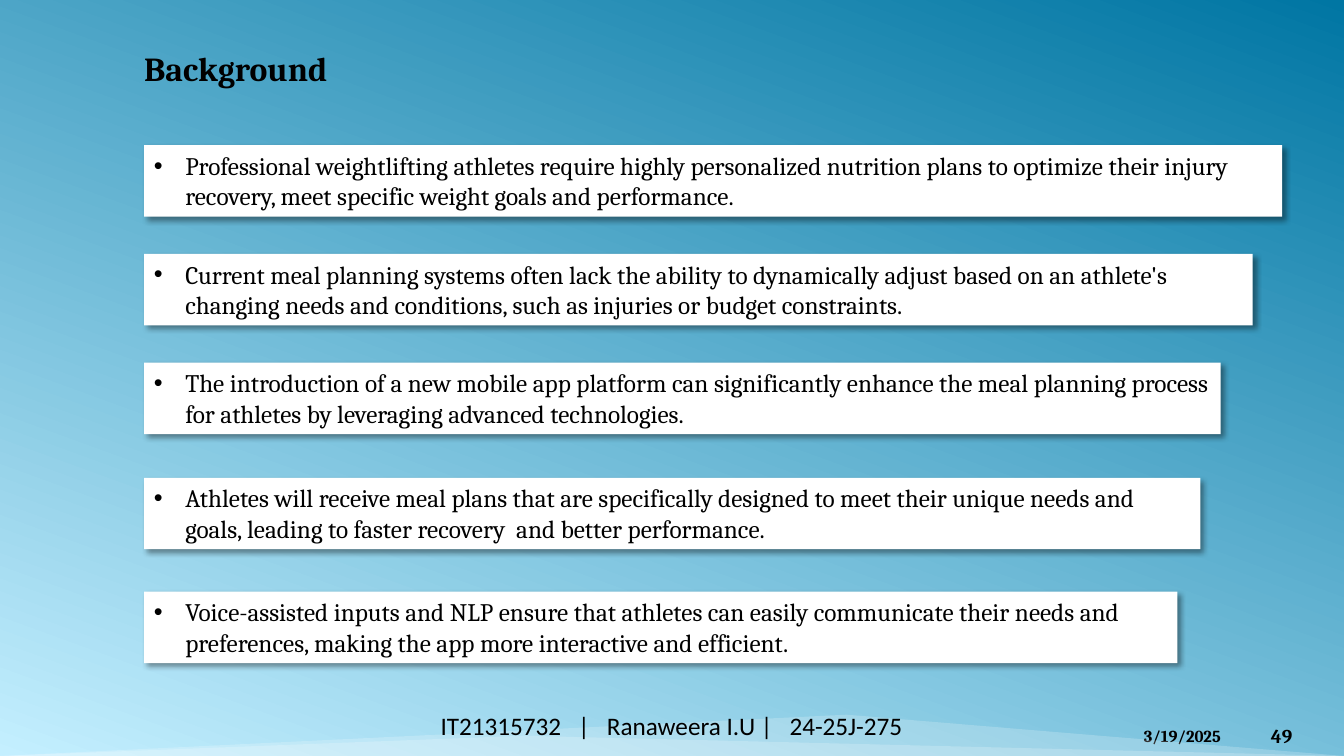
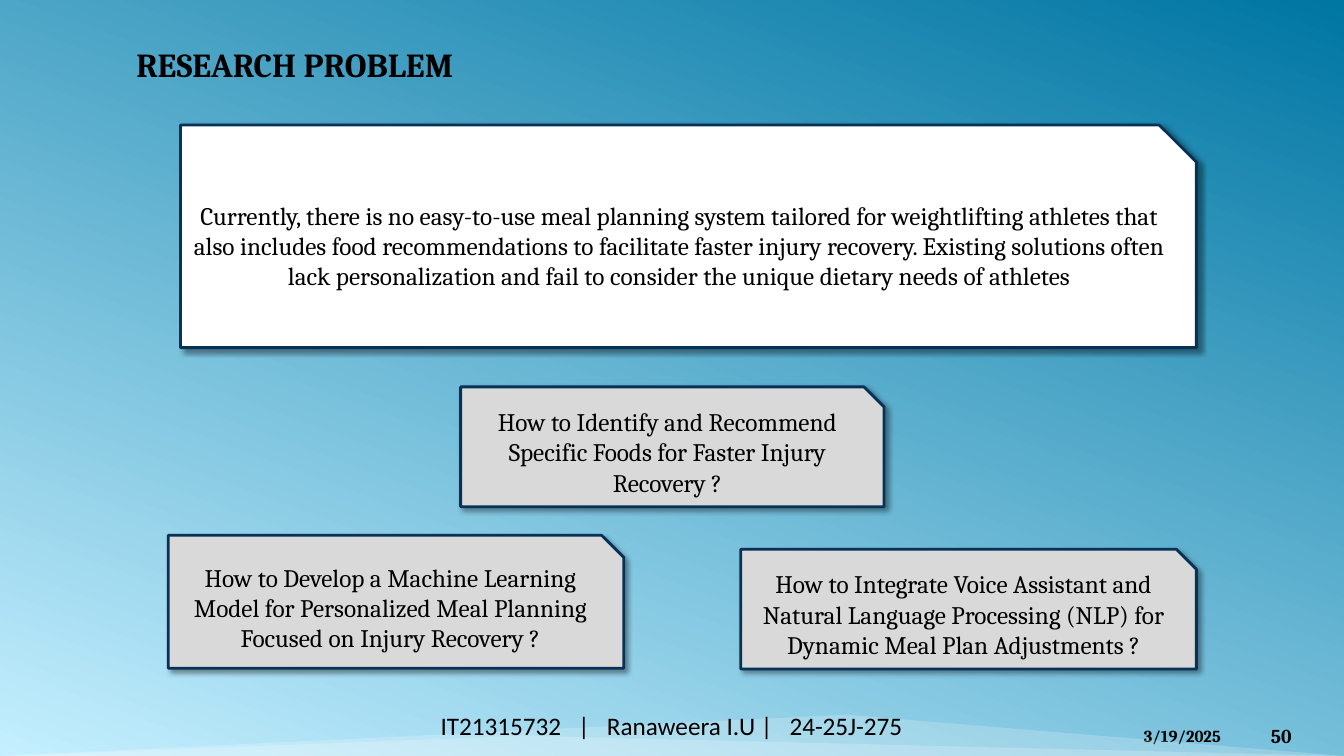
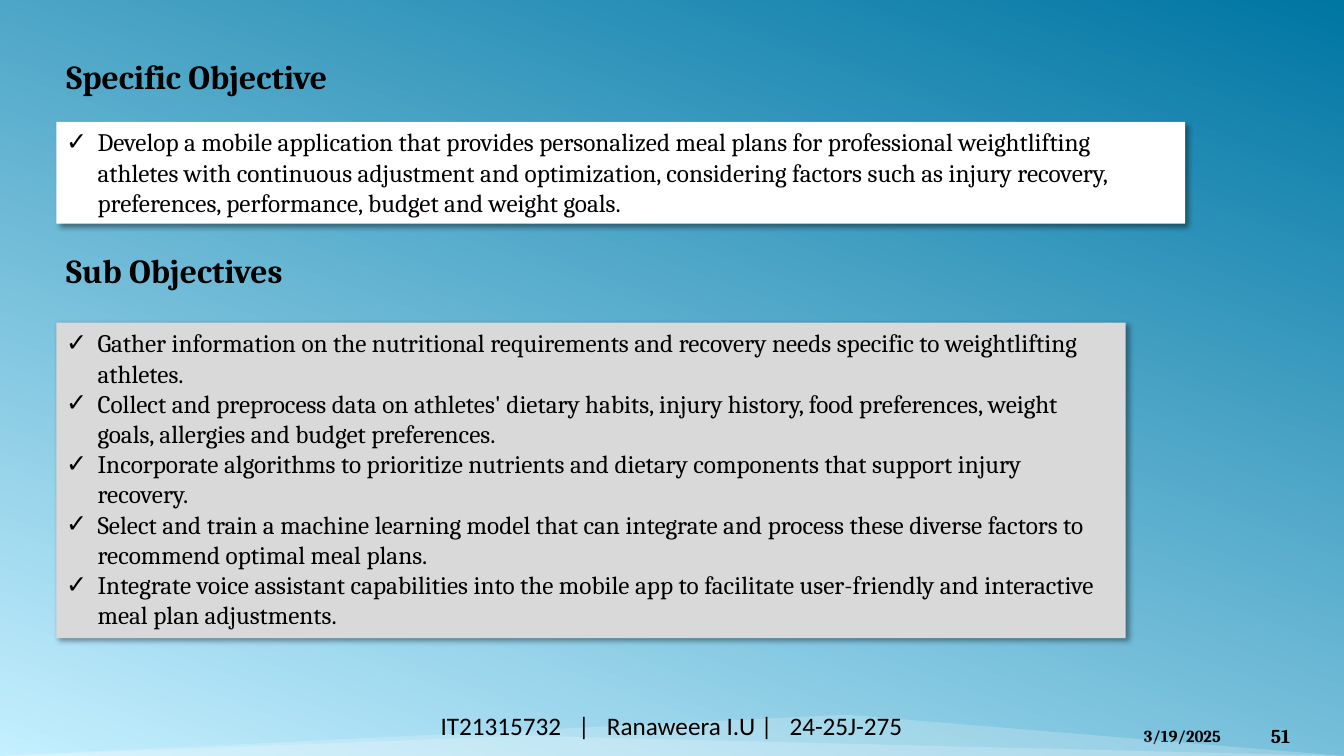
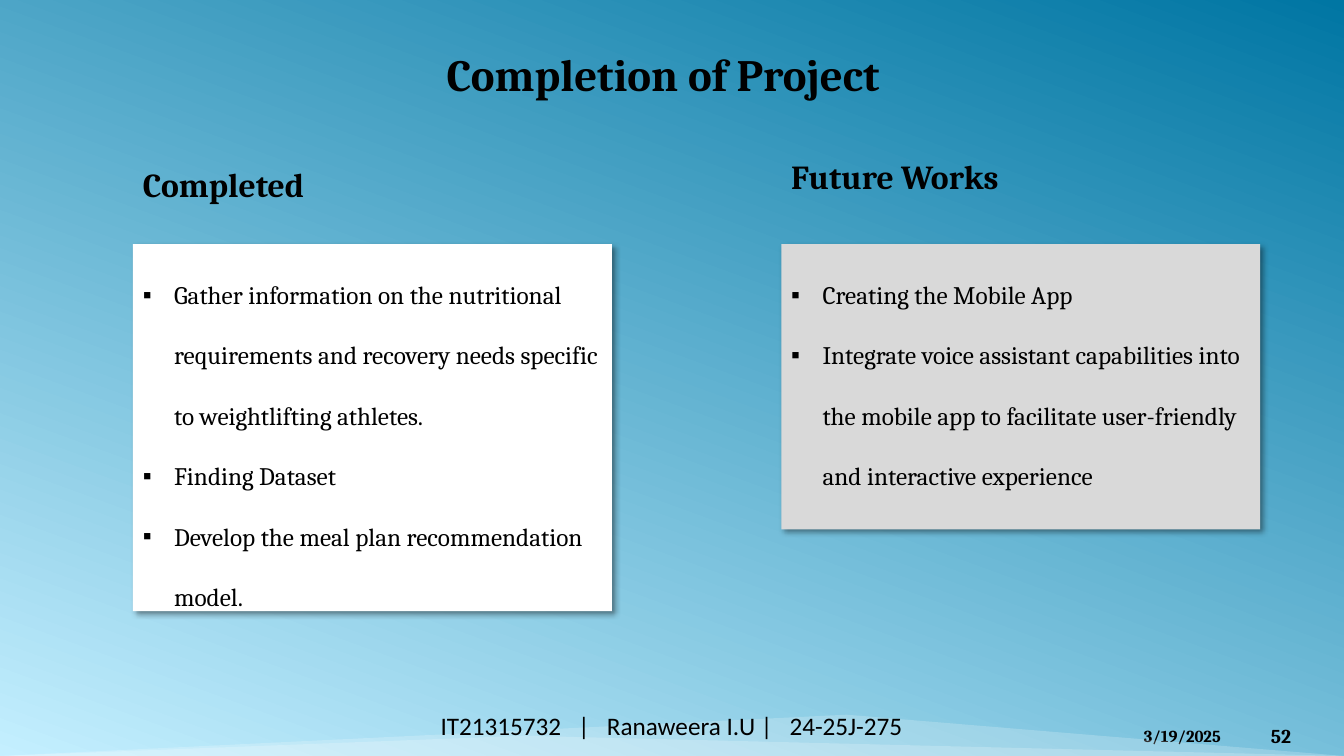
from dataclasses import dataclass

from lxml.etree import SubElement
from pptx import Presentation
from pptx.dml.color import RGBColor
from pptx.enum.shapes import MSO_SHAPE
from pptx.enum.text import MSO_ANCHOR, MSO_AUTO_SIZE, PP_ALIGN
from pptx.oxml.ns import qn
from pptx.util import Cm, Pt


@dataclass(frozen=True)
class Theme:
    black: RGBColor = RGBColor.from_string("000000")
    white: RGBColor = RGBColor.from_string("FFFFFF")
    gray: RGBColor = RGBColor.from_string("D9D9D9")
    navy: RGBColor = RGBColor.from_string("073157")
    deep_blue: RGBColor = RGBColor.from_string("0076A3")
    pale_blue: RGBColor = RGBColor.from_string("C4EFFF")
    font: str = "Cambria"
    footer_font: str = "Calibri"
    title_size: int = 32
    heading_size: int = 24
    body_size: int = 18
    number_size: int = 14
    date_size: int = 12


class SlideBuilder:
    """Holds the deck, its theme and the slide being built."""

    first_number = 49
    date = "3/19/2025"
    footer = "IT21315732   |   Ranaweera I.U |   24-25J-275"
    # left, top, width, height and apex position
    bands = ((0, 18.01, 33.87, 1.04, 0.63), (0, 18.54, 33.87, 0.51, 0.39))

    def __init__(self, theme):
        self.theme = theme
        self.deck = Presentation()
        self.deck.slide_width, self.deck.slide_height = Cm(33.87), Cm(19.05)
        self.page = None
        fill = self.deck.slide_master.background.fill
        fill.gradient()
        fill.gradient_angle = 250
        for stop, color in zip(fill.gradient_stops, (theme.deep_blue, theme.pale_blue)):
            stop.color.rgb = color

    def new_page(self, title, left, top, width, height=1.27, size=None):
        self.page = self.deck.slides.add_slide(self.deck.slide_layouts[5])
        number = self.first_number + len(self.deck.slides) - 1
        theme = self.theme
        self.text(self.date, 28.58, 18.16, 2.97, 0.76, size=theme.date_size, bold=True)
        for band in self.bands:
            self.band(*band)
        self.text(str(number), 31.78, 18.03, 1.88, 1.02, size=theme.number_size,
                  bold=True, anchor=MSO_ANCHOR.MIDDLE)
        self.text(self.footer, 8.46, 17.78, 16.94, 1.02, size=theme.body_size,
                  font=theme.footer_font, align=PP_ALIGN.CENTER)
        box = self.page.shapes.title
        box.left, box.top, box.width, box.height = map(Cm, (left, top, width, height))
        self.set_text(box, [title], size=size or theme.heading_size, bold=True)

    def set_text(self, box, lines, size, bold=False, font=None, align=PP_ALIGN.LEFT,
                 anchor=MSO_ANCHOR.TOP, bullet=None, spacing=None):
        frame = box.text_frame
        frame.word_wrap = True
        frame.auto_size = (MSO_AUTO_SIZE.SHAPE_TO_FIT_TEXT if anchor == MSO_ANCHOR.TOP
                           else MSO_AUTO_SIZE.NONE)
        frame.vertical_anchor = anchor
        frame.text = "\n".join(lines)
        for para in frame.paragraphs:
            para.alignment = align
            if bullet:
                self.add_bullet(para, bullet)
            if spacing:
                para.line_spacing = spacing
            for span in para.runs:
                span.font.name = font or self.theme.font
                span.font.size = Pt(size)
                span.font.bold = bold
                span.font.color.rgb = self.theme.black

    def add_bullet(self, para, symbol):
        properties = para._p.get_or_add_pPr()
        indent = Cm(0.79)
        properties.set("marL", str(indent))
        properties.set("indent", str(-indent))
        SubElement(properties, qn("a:buFont"), typeface="Arial")
        SubElement(properties, qn("a:buChar"), char=symbol)

    def text(self, content, left, top, width, height, **style):
        box = self.page.shapes.add_textbox(*map(Cm, (left, top, width, height)))
        self.set_text(box, [content], **style)

    def heading(self, content, left, top, width):
        self.text(content, left, top, width, 1.27, size=self.theme.heading_size, bold=True)

    def shape(self, kind, left, top, width, height, color):
        shape = self.page.shapes.add_shape(kind, *map(Cm, (left, top, width, height)))
        shape.shadow.inherit = False
        shape.fill.solid()
        shape.fill.fore_color.rgb = color
        shape.line.fill.background()
        return shape

    def band(self, left, top, width, height, apex):
        """Add a flat translucent triangle along the foot of the slide."""
        band = self.shape(MSO_SHAPE.ISOSCELES_TRIANGLE, left, top, width, height,
                          self.theme.white)
        band.adjustments[0] = apex
        color = band.element.spPr.find(qn("a:solidFill"))[0]
        SubElement(color, qn("a:alpha"), val="20000")

    def cast_shadow(self, shape):
        effects = shape.element.spPr.find(qn("a:effectLst"))
        shadow = SubElement(effects, qn("a:outerShdw"), blurRad=str(Pt(4)),
                            dist=str(Pt(3)), dir="2700000", algn="tl", rotWithShape="0")
        color = SubElement(shadow, qn("a:srgbClr"), val=str(self.theme.black))
        SubElement(color, qn("a:alpha"), val="40000")

    def panel(self, lines, left, top, width, height, color, bullet, spacing=None):
        """Add a shadowed rectangle that holds a bulleted list."""
        panel = self.shape(MSO_SHAPE.RECTANGLE, left, top, width, height, color)
        self.cast_shadow(panel)
        self.set_text(panel, lines, size=self.theme.body_size, bullet=bullet, spacing=spacing)

    def card(self, content, left, top, width, height, color):
        """Add an outlined card with one corner cut and centred text."""
        card = self.shape(MSO_SHAPE.SNIP_1_RECTANGLE, left, top, width, height, color)
        card.line.color.rgb = self.theme.navy
        card.line.width = Pt(2)
        self.cast_shadow(card)
        self.set_text(card, [content], size=self.theme.body_size, align=PP_ALIGN.CENTER,
                      anchor=MSO_ANCHOR.MIDDLE)


def add_background(builder):
    builder.new_page("Background", 3.38, 1.07, 8)
    points = (
        (3.66, 28.68, "Professional weightlifting athletes require highly personalized nutrition "
         "plans to optimize their injury recovery, meet specific weight goals and performance."),
        (6.4, 27.94, "Current meal planning systems often lack the ability to dynamically adjust "
         "based on an athlete's changing needs and conditions, such as injuries or budget "
         "constraints."),
        (9.14, 27.13, "The introduction of a new mobile app platform can significantly enhance "
         "the meal planning process for athletes by leveraging advanced technologies."),
        (12.04, 26.62, "Athletes will receive meal plans that are specifically designed to meet "
         "their unique needs and goals, leading to faster recovery  and better performance."),
        (14.91, 26.04, "Voice-assisted inputs and NLP ensure that athletes can easily communicate "
         "their needs and preferences, making the app more interactive and efficient."),
    )
    for top, width, point in points:
        builder.panel([point], 3.63, top, width, 1.8, builder.theme.white, "•")


def add_research_problem(builder):
    builder.new_page("RESEARCH PROBLEM", 3.18, 0.99, 16.94)
    questions = (
        (4.24, 13.49, 11.48, 3.35, "How to Develop a Machine Learning Model for Personalized "
         "Meal Planning Focused on Injury Recovery ?"),
        (18.67, 13.84, 11.48, 3.02, "How to Integrate Voice Assistant and Natural Language "
         "Processing (NLP) for Dynamic Meal Plan Adjustments ?"),
        (11.61, 9.75, 10.67, 3.02, "How to Identify and Recommend Specific Foods for Faster "
         "Injury Recovery ?"),
    )
    for *place, question in questions:
        builder.card(question, *place, builder.theme.gray)
    builder.card(
        "Currently, there is no easy-to-use meal planning system tailored for weightlifting "
        "athletes that also includes food recommendations to facilitate faster injury recovery. "
        "Existing solutions often lack personalization and fail to consider the unique dietary "
        "needs of athletes", 4.55, 3.15, 25.6, 5.61, builder.theme.white)


def add_objectives(builder):
    left = 1.42
    builder.new_page("Specific Objective", left, 1.27, 11.68)
    builder.panel(
        ["Develop a mobile application that provides personalized meal plans for professional "
         "weightlifting athletes with continuous adjustment and optimization, considering factors "
         "such as injury recovery, preferences, performance, budget and weight goals."],
        left, 3.07, 28.45, 2.57, builder.theme.white, "✓")
    builder.heading("Sub Objectives", left, 6.17, 16.94)
    builder.panel(
        ["Gather information on the nutritional requirements and recovery needs specific to "
         "weightlifting athletes.",
         "Collect and preprocess data on athletes' dietary habits, injury history, food "
         "preferences, weight goals, allergies and budget preferences.",
         "Incorporate algorithms to prioritize nutrients and dietary components that support "
         "injury recovery.",
         "Select and train a machine learning model that can integrate and process these diverse "
         "factors to recommend optimal meal plans.",
         "Integrate voice assistant capabilities into the mobile app to facilitate user-friendly "
         "and interactive meal plan adjustments."],
        left, 8.13, 26.95, 7.95, builder.theme.gray, "✓")


def add_completion(builder):
    theme = builder.theme
    builder.new_page("Completion of Project", 11, 1.04, 13.13, 1.63, theme.title_size)
    columns = (
        ("Completed", 3.35, 4.01, 9.25, theme.white,
         ["Gather information on the nutritional requirements and recovery needs specific to "
          "weightlifting athletes.",
          "Finding Dataset",
          "Develop the meal plan recommendation model."]),
        ("Future Works", 19.69, 3.81, 7.19, theme.gray,
         ["Creating the Mobile App",
          "Integrate voice assistant capabilities into the mobile app to facilitate "
          "user-friendly and interactive experience"]),
    )
    for heading, left, top, height, color, lines in columns:
        builder.heading(heading, left, top, 10.82)
        builder.panel(lines, left, 6.15, 12.07, height, color, "▪", spacing=2.0)


def main():
    builder = SlideBuilder(Theme())
    add_background(builder)
    add_research_problem(builder)
    add_objectives(builder)
    add_completion(builder)
    builder.deck.save("out.pptx")


if __name__ == "__main__":
    main()
